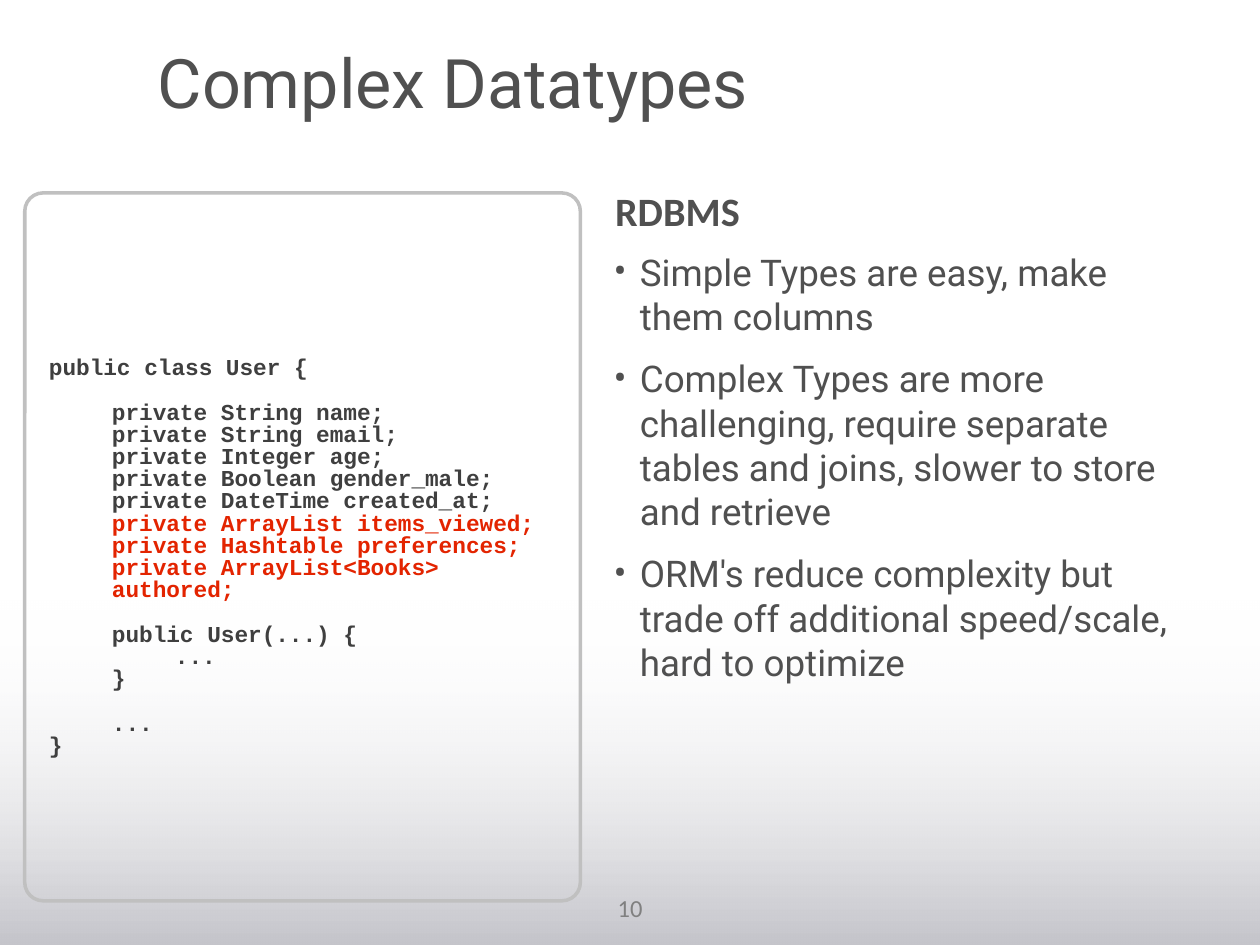
from dataclasses import dataclass

from lxml import etree
from pptx import Presentation
from pptx.dml.color import RGBColor
from pptx.enum.shapes import MSO_SHAPE
from pptx.enum.text import MSO_ANCHOR, PP_ALIGN
from pptx.oxml.ns import qn
from pptx.util import Cm, Pt

RECTANGLE, ROUNDED = MSO_SHAPE.RECTANGLE, MSO_SHAPE.ROUNDED_RECTANGLE
TOP, MIDDLE = MSO_ANCHOR.TOP, MSO_ANCHOR.MIDDLE
LEFT, CENTER = PP_ALIGN.LEFT, PP_ALIGN.CENTER


@dataclass(frozen=True)
class Theme:
    text: RGBColor = RGBColor(0x50, 0x50, 0x50)
    code: RGBColor = RGBColor(0x3F, 0x3F, 0x3F)
    complex_field: RGBColor = RGBColor(0xE3, 0x24, 0x00)
    frame: RGBColor = RGBColor(0xC0, 0xC0, 0xC0)
    number: RGBColor = RGBColor(0x80, 0x80, 0x80)
    shade: RGBColor = RGBColor(0xC5, 0xC5, 0xCB)
    white: RGBColor = RGBColor(0xFF, 0xFF, 0xFF)
    sans: str = "Roboto"
    heading: str = "Calibri"
    mono: str = "Courier New"
    title_size: float = 39
    heading_size: float = 23
    body_size: float = 21
    number_size: float = 14
    code_size: float = 13
    code_line: float = 12.7


THEME = Theme()


def set_frame(frame, margin, anchor=TOP):
    values = {"word_wrap": True, "vertical_anchor": anchor}
    for side in ("left", "top", "right", "bottom"):
        values[f"margin_{side}"] = Cm(margin)
    for name, value in values.items():
        setattr(frame, name, value)


def write(paragraph, text, font, size, color, bold=False, align=LEFT):
    paragraph.alignment = align
    run = paragraph.add_run()
    run.text = text
    for name, value in {"name": font, "size": Pt(size), "bold": bold}.items():
        setattr(run.font, name, value)
    run.font.color.rgb = color


prs = Presentation()
prs.slide_width, prs.slide_height = Cm(25.4), Cm(19.05)
slide = prs.slides.add_slide(prs.slide_layouts[6])
shapes = slide.shapes
slide.background.fill.solid()
slide.background.fill.fore_color.rgb = THEME.white

# Shade rising from the bottom edge and fading out
shade = shapes.add_shape(RECTANGLE, Cm(0), Cm(12.06), Cm(25.4), Cm(6.99))
shade.shadow.inherit = False
shade.line.fill.background()
shade.fill.gradient()
shade.fill.gradient_angle = 90
for stop, color in zip(shade.fill.gradient_stops, (THEME.shade, THEME.white)):
    stop.color.rgb = color
clear_end = list(shade.fill._fill._gradFill.iter(qn("a:srgbClr")))[-1]
etree.SubElement(clear_end, qn("a:alpha")).set("val", "0")

# Slide number
number = shapes.add_textbox(Cm(11.56), Cm(17.88), Cm(2.29), Cm(0.86)).text_frame
set_frame(number, 0.13)
write(number.paragraphs[0], "10", THEME.heading, THEME.number_size,
      THEME.number, align=CENTER)

# Outlines that hold the title, the points and the heading
frames = []
for left, top, width, height in (
    (3.1, 0.74, 18.54, 1.78),
    (12.29, 4.95, 11.46, 8.92),
    (12.32, 3.68, 2.72, 1.14),
):
    right, bottom = left + width, top + height
    builder = shapes.build_freeform(Cm(left), Cm(top))
    builder.add_line_segments([
        (Cm(x), Cm(y)) for x, y in ((right, top), (right, bottom), (left, bottom))
    ])
    outline = builder.convert_to_shape()
    outline.shadow.inherit = False
    outline.fill.background()
    outline.line.fill.background()
    set_frame(outline.text_frame, 0.08)
    frames.append(outline.text_frame)
title, points, heading = frames

write(title.paragraphs[0], "Complex Datatypes", THEME.sans, THEME.title_size,
      THEME.text)
write(heading.paragraphs[0], "RDBMS", THEME.heading, THEME.heading_size,
      THEME.text, bold=True)

# Bulleted points
for i, point in enumerate((
    "Simple Types are easy, make them columns",
    "Complex Types are more challenging, require separate tables and joins, "
    "slower to store and retrieve",
    "ORM's reduce complexity but trade off additional speed/scale, "
    "hard to optimize",
)):
    paragraph = points.add_paragraph() if i else points.paragraphs[0]
    paragraph.space_before = Pt(10.6)
    write(paragraph, point, THEME.sans, THEME.body_size, THEME.text)
    props = paragraph._p.get_or_add_pPr()
    props.set("marL", str(Cm(0.53)))
    props.set("indent", str(-Cm(0.53)))
    bullet_color = etree.SubElement(props, qn("a:buClr"))
    etree.SubElement(bullet_color, qn("a:srgbClr")).set("val", str(THEME.text))
    etree.SubElement(props, qn("a:buSzPct")).set("val", "105000")
    etree.SubElement(props, qn("a:buFont")).set("typeface", THEME.sans)
    etree.SubElement(props, qn("a:buChar")).set("char", "•")

# Code panel
panel = shapes.add_shape(ROUNDED, Cm(0.5), Cm(3.89), Cm(11.2), Cm(14.27))
panel.adjustments[0] = 0.033
panel.shadow.inherit = False
panel.fill.background()
panel.line.color.rgb = THEME.frame
panel.line.width = Pt(2)
code = panel.text_frame
set_frame(code, 0.38, MIDDLE)
code.margin_top = Cm(0.38) + Pt(THEME.code_line)

# Each line: indent level, text, colour, gap of one line above
for i, (level, text, color, gap) in enumerate((
    (0, "public class User {", THEME.code, False),
    (1, "private String name;", THEME.code, True),
    (1, "private String email;", THEME.code, False),
    (1, "private Integer age;", THEME.code, False),
    (1, "private Boolean gender_male;", THEME.code, False),
    (1, "private DateTime created_at;", THEME.code, False),
    (1, "private ArrayList items_viewed;", THEME.complex_field, False),
    (1, "private Hashtable preferences;", THEME.complex_field, False),
    (1, "private ArrayList<Books> authored;", THEME.complex_field, False),
    (1, "public User(...) {", THEME.code, True),
    (2, "...", THEME.code, False),
    (1, "}", THEME.code, False),
    (1, "...", THEME.code, True),
    (0, "}", THEME.code, False),
)):
    paragraph = code.add_paragraph() if i else code.paragraphs[0]
    paragraph.level = level
    paragraph.line_spacing = Pt(THEME.code_line)
    paragraph.space_before = Pt(THEME.code_line if gap else 0)
    write(paragraph, text, THEME.mono, THEME.code_size, color, True)
    props = paragraph._p.get_or_add_pPr()
    props.set("marL", str(Cm(1.27 * level)))
    props.set("indent", "0")

prs.save("out.pptx")
